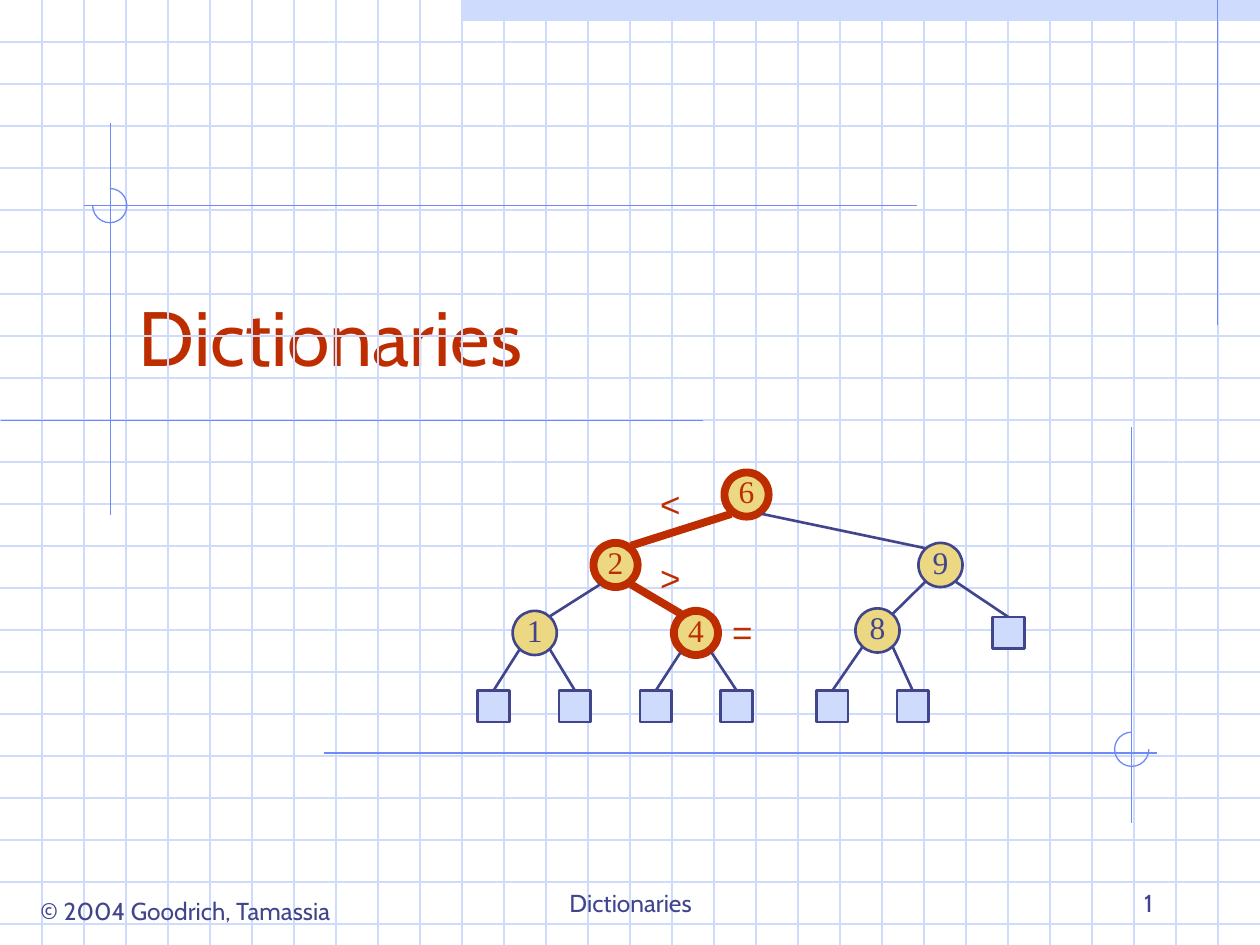
from dataclasses import dataclass

from lxml import etree
from pptx import Presentation
from pptx.dml.color import RGBColor
from pptx.enum.shapes import MSO_CONNECTOR, MSO_SHAPE
from pptx.enum.text import MSO_ANCHOR, MSO_AUTO_SIZE, PP_ALIGN
from pptx.oxml.ns import qn
from pptx.util import Cm, Pt

PALE = RGBColor(0xCF, 0xDB, 0xFD)
BLUE = RGBColor(0x6F, 0x89, 0xF7)
NAVY = RGBColor(0x40, 0x45, 0x8C)
RED = RGBColor(0xBE, 0x2D, 0x00)
GOLD = RGBColor(0xEC, 0xD8, 0x82)

STRAIGHT = MSO_CONNECTOR.STRAIGHT
RECT, OVAL, ARC = MSO_SHAPE.RECTANGLE, MSO_SHAPE.OVAL, MSO_SHAPE.ARC
TOP, MIDDLE, BOTTOM = MSO_ANCHOR.TOP, MSO_ANCHOR.MIDDLE, MSO_ANCHOR.BOTTOM
LEFT, CENTER, RIGHT = PP_ALIGN.LEFT, PP_ALIGN.CENTER, PP_ALIGN.RIGHT
FIXED = MSO_AUTO_SIZE.NONE

WIDE, HIGH = 25.4, 19.05
STEP = WIDE / 30
NODE, LEAF = 0.89, 0.64
THIN, THICK = 1.5, 4.5


@dataclass
class Node:
    """A tree node by its centre; one without a key is an empty leaf."""
    x: float
    y: float
    key: str = ""
    hot: bool = False


@dataclass
class Label:
    text: str
    x: float
    y: float
    w: float
    h: float
    size: int
    font: str
    color: RGBColor
    align: PP_ALIGN = CENTER
    anchor: MSO_ANCHOR = TOP
    wrap: bool = False


NODES = {
    "6": Node(15.05, 9.97, "6", True),
    "9": Node(18.96, 11.39, "9"),
    "2": Node(12.41, 11.39, "2", True),
    "4": Node(14.03, 12.76, "4", True),
    "1": Node(10.78, 12.76, "1"),
    "8": Node(17.69, 12.71, "8"),
}
# Parent key, then its left and right child: a key, or the centre of a leaf
LEAF_Y = 14.24
KIDS = [
    ("6", "2", "9"),
    ("2", "1", "4"),
    ("9", "8", Node(20.33, 12.76)),
    ("1", Node(9.95, LEAF_Y), Node(11.59, LEAF_Y)),
    ("4", Node(13.22, LEAF_Y), Node(14.85, LEAF_Y)),
    ("8", Node(16.78, LEAF_Y), Node(18.4, LEAF_Y)),
]
# Guide lines: x1, y1, x2, y2
GUIDES = [
    (24.55, 0, 24.55, 6.55),
    (2.23, 2.47, 2.23, 10.39),
    (0.02, 8.48, 14.17, 8.48),
    (1.7, 4.14, 18.49, 4.14),
    (6.53, 15.18, 23.32, 15.18),
    (22.81, 8.61, 22.81, 16.59),
]
# Arcs: left, top, start angle, end angle
ARCS = [(1.87, 3.8, 270, 180), (22.47, 14.76, 0, 270)]
LABELS = [
    Label("© 2004 Goodrich, Tamassia", 0.3, 17.93, 6.88, 0.86, 14, "Cabin", NAVY),
    Label("Dictionaries", 8.69, 17.35, 8.05, 1.27, 14, "Cabin", NAVY,
          anchor=BOTTOM, wrap=True),
    Label("1", 18.21, 17.35, 5.28, 1.27, 14, "Cabin", NAVY,
          RIGHT, BOTTOM, True),
    Label("<", 13.06, 9.6, 0.91, 1.12, 20, "Arial", RED),
    Label(">", 13.06, 11.1, 0.91, 1.12, 20, "Arial", RED),
    Label("=", 14.43, 12.19, 1.07, 1.12, 20, "Arial", RED),
]


def draw_line(slide, x1: float, y1: float, x2: float, y2: float,
              color: RGBColor, width: float = 0.75) -> None:
    line = slide.shapes.add_connector(STRAIGHT, Cm(x1), Cm(y1), Cm(x2), Cm(y2))
    line.line.color.rgb = color
    line.line.width = Pt(width)
    etree.SubElement(line._element.spPr, qn("a:effectLst"))


def add_form(slide, kind: MSO_SHAPE, x: float, y: float, w: float, h: float,
             fill: RGBColor | None, color: RGBColor | None, width: float = 0):
    """Add a preset shape; no fill or line where its colour is None."""
    form = slide.shapes.add_shape(kind, Cm(x), Cm(y), Cm(w), Cm(h))
    form.shadow.inherit = False
    for part, tint in ((form.fill, fill), (form.line.fill, color)):
        if tint is None:
            part.background()
        else:
            part.solid()
            part.fore_color.rgb = tint
    if color is not None:
        form.line.width = Pt(width)
    return form


def put_text(frame, text: str, size: int, font: str, color: RGBColor,
             align: PP_ALIGN, anchor: MSO_ANCHOR, wrap: bool) -> None:
    frame.word_wrap = wrap
    frame.auto_size = FIXED
    frame.vertical_anchor = anchor
    par = frame.paragraphs[0]
    par.alignment = align
    run = par.add_run()
    run.text = text
    run.font.size = Pt(size)
    run.font.name = font
    run.font.color.rgb = color


def draw_node(slide, node: Node) -> None:
    tint, width = (RED, THICK) if node.hot else (NAVY, THIN)
    kind, side, fill = (OVAL, NODE, GOLD) if node.key else (RECT, LEAF, PALE)
    form = add_form(slide, kind, node.x - side / 2, node.y - side / 2,
                    side, side, fill, tint, width)
    if node.key:
        frame = form.text_frame
        frame.margin_left = frame.margin_right = frame.margin_top = 0
        frame.margin_bottom = Cm(0.13)
        put_text(frame, node.key, 18, "Times New Roman", tint,
                 CENTER, MIDDLE, False)


def draw_edge(slide, top: Node, low: Node, side: int) -> None:
    """Join two nodes; side is -1 for a left child and 1 for a right one."""
    def reach(node: Node) -> tuple[float, float]:
        if not node.key:
            return 0, LEAF / 2
        return 0.31, 0.39 if node.hot else 0.34

    (dx, dy), (ex, ey) = reach(top), reach(low)
    tint, width = (RED, THICK) if top.hot and low.hot else (NAVY, THIN)
    draw_line(slide, top.x + side * dx, top.y + dy,
              low.x - side * ex, low.y - ey, tint, width)


def draw_tree(slide) -> None:
    for node in NODES.values():
        draw_node(slide, node)
    for key, *pair in KIDS:
        for side, kid in zip((-1, 1), pair):
            if isinstance(kid, Node):
                draw_node(slide, kid)
            else:
                kid = NODES[kid]
            draw_edge(slide, NODES[key], kid, side)


def draw_back(slide) -> None:
    add_form(slide, RECT, 11 * STEP, 0, 19 * STEP, STEP / 2, PALE, None)
    for row in range(1, 23):
        draw_line(slide, 0, row * STEP, WIDE, row * STEP, PALE)
    for col in range(1, 30):
        draw_line(slide, col * STEP, 0, col * STEP, HIGH, PALE)
    for guide in GUIDES:
        draw_line(slide, *guide, BLUE)
    for x, y, start, end in ARCS:
        arc = add_form(slide, ARC, x, y, 0.69, 0.69, None, BLUE, 0.75)
        # Angles count in 60000ths of a degree, adjustments in 100000ths
        arc.adjustments[0] = start * 0.6
        arc.adjustments[1] = end * 0.6


def main() -> None:
    deck = Presentation()
    deck.slide_width, deck.slide_height = Cm(WIDE), Cm(HIGH)
    slide = deck.slides.add_slide(deck.slide_layouts[5])
    draw_back(slide)
    title = slide.shapes.title
    title.left, title.top = Cm(2.54), Cm(4.66)
    title.width, title.height = Cm(21.59), Cm(3.17)
    put_text(title.text_frame, "Dictionaries", 44, "Cabin", RED,
             LEFT, BOTTOM, True)
    draw_tree(slide)
    for lab in LABELS:
        box = slide.shapes.add_textbox(Cm(lab.x), Cm(lab.y), Cm(lab.w), Cm(lab.h))
        put_text(box.text_frame, lab.text, lab.size, lab.font, lab.color,
                 lab.align, lab.anchor, lab.wrap)
    deck.save("out.pptx")


if __name__ == "__main__":
    main()
